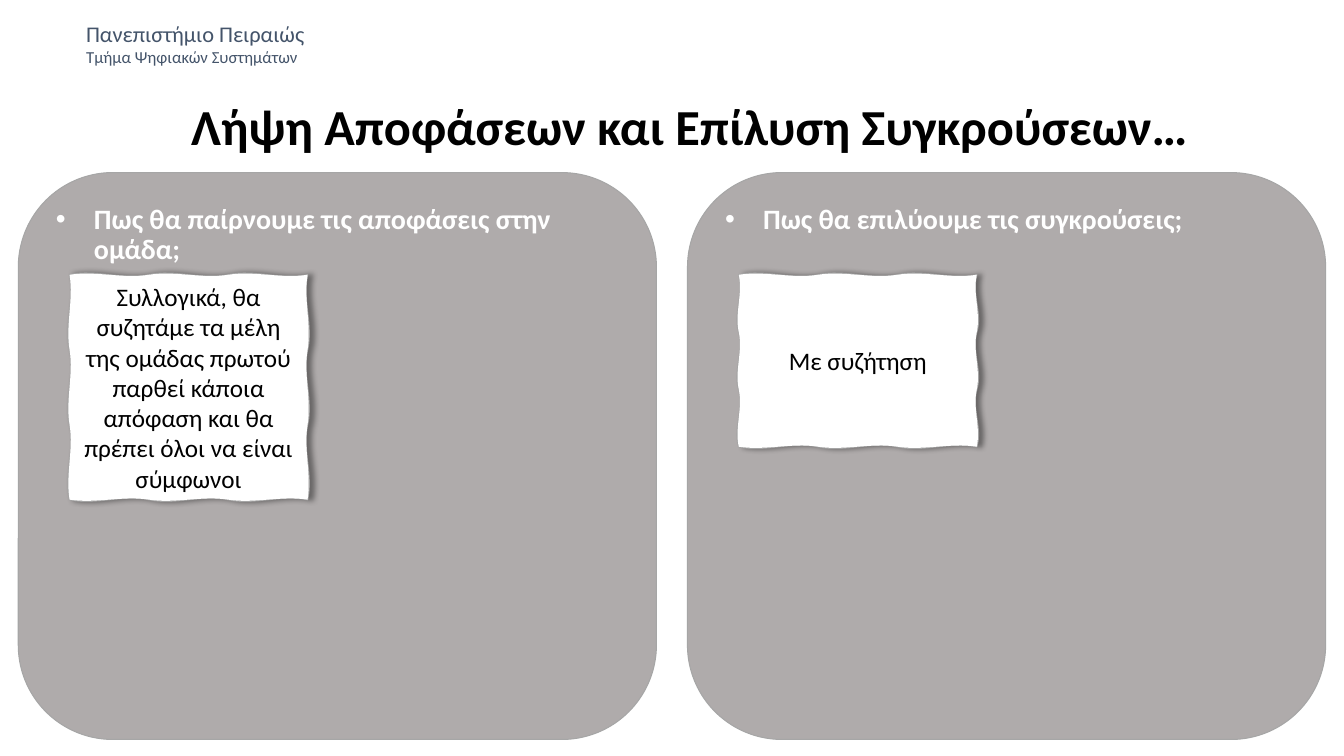
"""Builds the slide on decision making and conflict resolution."""
import copy
import pptx
import pptx.dml.color
import pptx.enum.shapes
import pptx.enum.text
import pptx.oxml
import pptx.oxml.ns
import pptx.util

Pt = pptx.util.Pt
qn = pptx.oxml.ns.qn
ALIGN = pptx.enum.text.PP_ALIGN
ANCHOR = pptx.enum.text.MSO_ANCHOR
DRAWING = pptx.oxml.ns.nsdecls("a")
COLORS = {
    "department": "44546A", "ink": "000000", "panel": "AFABAB",
    "panel_edge": "A6A6A6", "paper": "FFFFFF", "paper_edge": "A5A5A5",
}


def rgb(name):
    return pptx.dml.color.RGBColor.from_string(COLORS[name])


def write(frame, text, size=18, color="ink", bold=False, align=ALIGN.LEFT,
          spacing=1.0, bullet_indent=0):
    paragraph = frame.paragraphs[0]
    if paragraph.runs:
        paragraph = frame.add_paragraph()
    paragraph.alignment = align
    paragraph.line_spacing = spacing
    if bullet_indent:
        properties = paragraph._p.get_or_add_pPr()
        properties.set("marL", str(Pt(bullet_indent)))
        properties.set("indent", str(-Pt(bullet_indent)))
        for tag, key, value in (("buFont", "typeface", "Arial"), ("buChar", "char", "•")):
            properties.append(pptx.oxml.parse_xml(f'<a:{tag} {DRAWING} {key}="{value}"/>'))
    run = paragraph.add_run()
    run.text = text
    run.font.name = "Calibri"
    run.font.size = Pt(size)
    run.font.bold = bold
    run.font.color.rgb = rgb(color)


def ripple(outline, swing):
    """Turns the straight pieces of an outline into shallow waves."""
    start = outline.find(qn("a:moveTo"))[0]
    for piece in outline.findall(qn("a:lnTo")):
        end = piece[0]
        x1, y1, x2, y2 = (int(point.get(axis)) for point in (start, end) for axis in "xy")
        across, down = (0, swing) if y1 == y2 else (swing, 0)
        controls = [(x1 + (x2 - x1) * part + sign * across,
                     y1 + (y2 - y1) * part + sign * down)
                    for part, sign in ((1 / 3, -1), (2 / 3, 1))]
        points = "".join(f'<a:pt x="{round(x)}" y="{round(y)}"/>'
                         for x, y in controls + [(x2, y2)])
        outline.replace(piece, pptx.oxml.parse_xml(
            f'<a:cubicBezTo {DRAWING}>{points}</a:cubicBezTo>'))
        start = end


class Board:
    def __init__(self, slide):
        self.slide = slide

    def paint(self, shape, fill, edge, width):
        shape.fill.solid()
        shape.fill.fore_color.rgb = rgb(fill)
        shape.line.color.rgb = rgb(edge)
        shape.line.width = Pt(width)
        shape.shadow.inherit = False

    def frame(self, shape, anchor):
        frame = shape.text_frame
        frame.word_wrap = True
        frame.vertical_anchor = anchor
        return frame

    def textbox(self, left, top, width, height, anchor=ANCHOR.TOP):
        box = self.slide.shapes.add_textbox(Pt(left), Pt(top), Pt(width), Pt(height))
        return self.frame(box, anchor)

    def panel(self, left, top, width, height, question):
        panel = self.slide.shapes.add_shape(
            pptx.enum.shapes.MSO_SHAPE.ROUNDED_RECTANGLE,
            Pt(left), Pt(top), Pt(width), Pt(height))
        self.paint(panel, "panel", "panel_edge", 0.75)
        write(self.frame(panel, ANCHOR.TOP), question, size=20, color="paper",
              bold=True, spacing=0.9, bullet_indent=27.2)

    def note(self, left, top, width, height, answer, pieces=3):
        right, bottom = left + width, top + height
        corners = [(left, top), (right, top), (right, bottom), (left, bottom), (left, top)]
        stops = [(Pt(x1 + (x2 - x1) * step / pieces), Pt(y1 + (y2 - y1) * step / pieces))
                 for (x1, y1), (x2, y2) in zip(corners, corners[1:])
                 for step in range(1, pieces + 1)]
        builder = self.slide.shapes.build_freeform(Pt(left), Pt(top), scale=1.0)
        builder.add_line_segments(stops, close=True)
        paper = builder.convert_to_shape()
        self.paint(paper, "paper", "paper_edge", 1)
        sheet = next(paper._element.iter(qn("a:path")))
        edge = copy.deepcopy(sheet)
        sheet.addprevious(edge)
        edge.set("fill", "none")
        sheet.set("stroke", "0")
        ripple(edge, Pt(4))
        ripple(sheet, Pt(3))
        effects = paper._element.spPr.find(qn("a:effectLst"))
        effects.append(pptx.oxml.parse_xml(
            f'<a:outerShdw {DRAWING} blurRad="{Pt(4)}" dist="{Pt(3)}" '
            f'dir="0" algn="l" rotWithShape="0"><a:srgbClr val="{COLORS["ink"]}">'
            '<a:alpha val="40000"/></a:srgbClr></a:outerShdw>'))
        write(self.frame(paper, ANCHOR.MIDDLE), answer, align=ALIGN.CENTER)


def main():
    deck = pptx.Presentation()
    deck.slide_width, deck.slide_height = Pt(960), Pt(540)
    board = Board(deck.slides.add_slide(deck.slide_layouts[6]))

    department = board.textbox(54.4, 10.8, 214.5, 45.4)
    write(department, "Πανεπιστήμιο Πειραιώς", size=16, color="department")
    write(department, "Τμήμα Ψηφιακών Συστημάτων", size=12, color="department")

    title = board.textbox(74.7, 69.8, 835.9, 45.4, ANCHOR.BOTTOM)
    write(title, "Λήψη Αποφάσεων και Επίλυση Συγκρούσεων…", size=36, bold=True,
          align=ALIGN.CENTER, spacing=0.9)

    topics = [
        ("Πως θα παίρνουμε τις αποφάσεις στην ομάδα;",
         "Συλλογικά, θα συζητάμε τα μέλη της ομάδας πρωτού παρθεί κάποια "
         "απόφαση και θα πρέπει όλοι να είναι σύμφωνοι", 160.6),
        ("Πως θα επιλύουμε τις συγκρούσεις;", "Με συζήτηση", 122.8),
    ]
    for column, (question, answer, note_height) in enumerate(topics):
        left = 13.1 + 478 * column
        board.panel(left, 123.3, 455.8, 404.9, question)
        board.note(left + 36.6, 196.3, 170, note_height, answer)

    deck.save("out.pptx")


if __name__ == "__main__":
    main()
